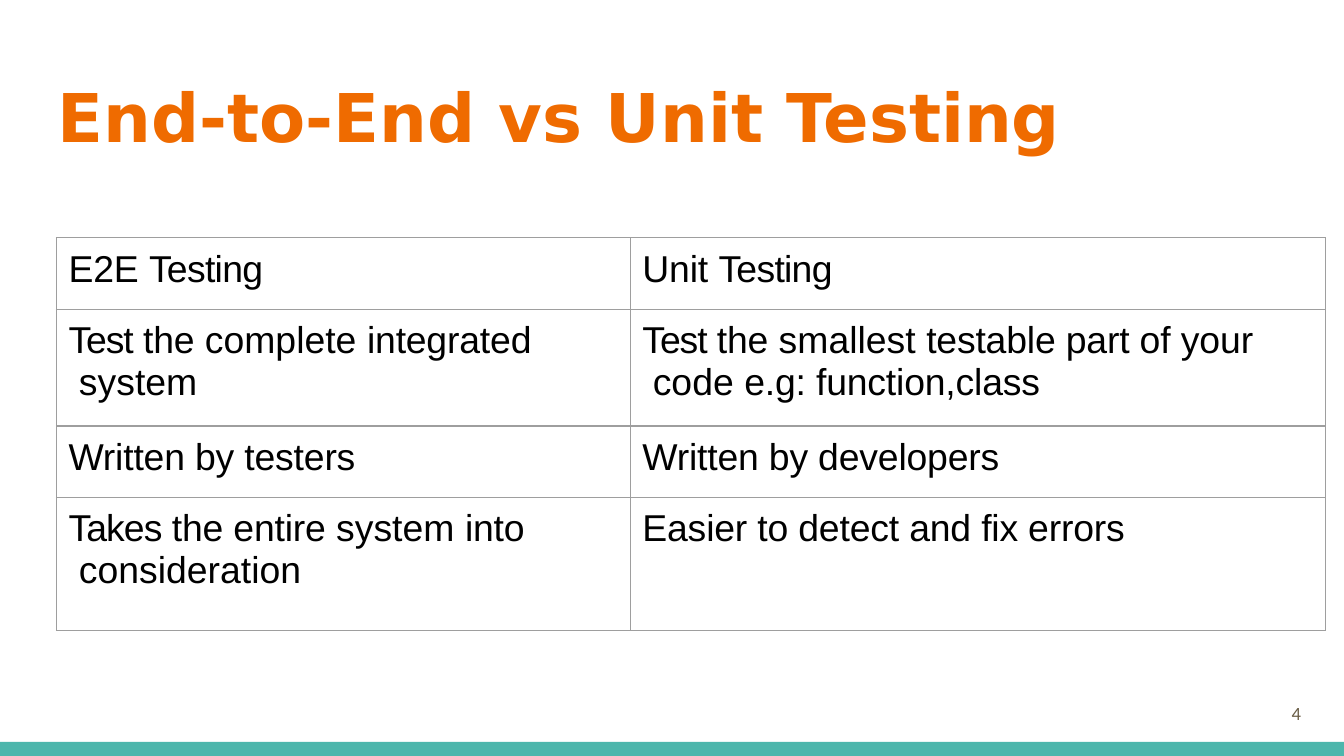
from lxml import etree
from pptx import Presentation
from pptx import util as u
from pptx.dml.color import RGBColor
from pptx.enum import shapes
from pptx.oxml import ns

TEAL, ORANGE, BROWN, BLACK, GREY = "4DB6AC", "EF6B00", "695D46", "000000", "9E9E9E"
WIDTH = 10
HEIGHT = WIDTH * 9 / 16
NBSP = "\u00a0"
# Each cell is a list of (text, letter spacing in points) runs.
ROWS = [
    ([("E2E ", -.1), ("Testing", -.4)],
     [("Unit ", -.1), ("Testing", -.4)]),
    ([("Test ", -.6), ("the ", -.1), ("complete ", 0),
      ("integrated " + NBSP, -.1), ("system", 0)],
     [("Test ", -.6), ("the ", -.1), ("smallest ", 0), ("testable part of ", -.1),
      ("your " + NBSP + "code ", 0), ("e.g: function,class", -.1)]),
    ([("Written by testers", -.1)],
     [("Written by developers", -.1)]),
    ([("Takes ", -.5), ("the entire ", -.1), ("system ", 0),
      ("into " + NBSP, -.1), ("consideration", 0)],
     [("Easier to detect and fix errors", -.1)]),
]


def color(hex_string):
    """Return the colour for a hex string."""
    return RGBColor.from_string(hex_string)


def write(tf, runs, size, font, hex_color, bold=False, indent=0, before=0):
    """Fill the first paragraph of a text frame with spaced runs."""
    tf.word_wrap = True
    p = tf.paragraphs[0]
    p.space_before = u.Pt(before)
    pPr = p._p.get_or_add_pPr()
    pPr.set("marL", str(u.Inches(indent)))
    pPr.set("indent", "0")
    for text, spacing in runs:
        r = p.add_run()
        r.text = text
        r.font.size, r.font.name, r.font.bold = u.Pt(size), font, bold
        r.font.color.rgb = color(hex_color)
        r._r.get_or_add_rPr().set("spc", str(round(spacing * 100)))


def add_text(s, box, top_inset, runs, **fmt):
    """Add a text box with no side insets."""
    tf = s.shapes.add_textbox(*map(u.Inches, box)).text_frame
    tf.margin_left = tf.margin_right = tf.margin_bottom = 0
    tf.margin_top = u.Inches(top_inset)
    write(tf, runs, **fmt)


def add_footer(s, left, top, width, height):
    """Add the coloured band and the page number above its right end."""
    sp = s.shapes.add_shape(shapes.MSO_SHAPE.RECTANGLE,
                            *map(u.Inches, (left, top, width, height)))
    sp.shadow.inherit = False
    sp.fill.solid()
    sp.fill.fore_color.rgb = color(TEAL)
    sp.line.fill.background()
    add_text(s, (left + width - .43, top - .32, .24, .22), .02, [("4", -.1)],
             size=10, font="Calibri", hex_color=BROWN, indent=.04, before=1.6)


def set_borders(cell, hex_color, width):
    """Draw a thin line on all four sides of a cell."""
    tcPr = cell._tc.get_or_add_tcPr()
    for i, side in enumerate(("lnL", "lnR", "lnT", "lnB")):
        ln = etree.Element(ns.qn("a:" + side), w=str(u.Pt(width)))
        fill = etree.SubElement(ln, ns.qn("a:solidFill"))
        etree.SubElement(fill, ns.qn("a:srgbClr"), val=hex_color)
        tcPr.insert(i, ln)


def add_comparison(s, left, top, widths, heights):
    """Add the two-column comparison table."""
    box = map(u.Inches, (left, top, sum(widths), sum(heights)))
    table = s.shapes.add_table(len(heights), len(widths), *box).table
    table.first_row = table.horz_banding = False
    for col, width in zip(table.columns, widths):
        col.width = u.Inches(width)
    for row, height, contents in zip(table.rows, heights, ROWS):
        row.height = u.Inches(height)
        for cell, runs in zip(row.cells, contents):
            cell.fill.background()
            set_borders(cell, GREY, .75)
            cell.margin_left = cell.margin_right = cell.margin_bottom = 0
            cell.margin_top = u.Inches(.08)
            write(cell.text_frame, runs, size=20, font="Arial",
                  hex_color=BLACK, indent=.09, before=6)


def build():
    """Build and save the slide."""
    prs = Presentation()
    prs.slide_width, prs.slide_height = u.Inches(WIDTH), u.Inches(HEIGHT)
    s = prs.slides.add_slide(prs.slide_layouts[6])
    add_footer(s, 0, 5.52, WIDTH, HEIGHT - 5.52)
    add_text(s, (.42, .55, 9.33, .62), .01, [("End-to-End vs Unit Testing", 0)],
             size=36, font="DejaVu Sans", hex_color=ORANGE, bold=True,
             indent=.01, before=1)
    add_comparison(s, .42, 1.77, (4.27, 5.17), (.53, .87, .53, .99))
    prs.save("out.pptx")


build()
